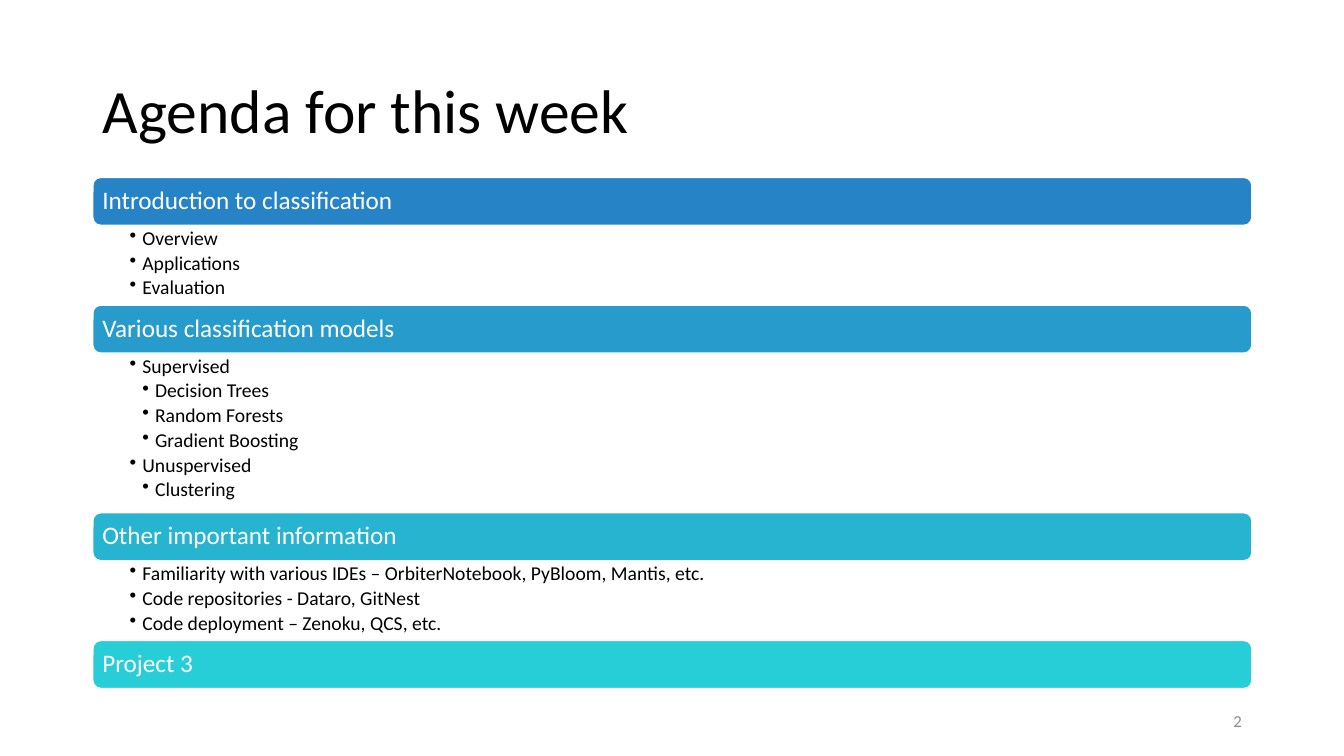
from pptx import Presentation
from pptx.dml.color import RGBColor
from pptx.enum.shapes import MSO_SHAPE as Shape
from pptx.enum.text import MSO_ANCHOR as Anchor, PP_ALIGN as Align
from pptx.oxml.ns import qn
from pptx.util import Cm, Pt
from lxml.etree import SubElement

# Content: heading, bar colour, (level, item) pairs
TITLE = "Agenda for this week"
PAGE_NUMBER = "2"
SECTIONS = [
    ("Introduction to classification", "2683C6",
     [(1, "Overview"), (1, "Applications"), (1, "Evaluation")]),
    ("Various classification models", "269BCC",
     [(1, "Supervised"), (2, "Decision Trees"), (2, "Random Forests"),
      (2, "Gradient Boosting"), (1, "Unuspervised"), (2, "Clustering")]),
    ("Other important information", "27B4D1",
     [(1, "Familiarity with various IDEs – OrbiterNotebook, PyBloom, Mantis, etc."),
      (1, "Code repositories - Dataro, GitNest"),
      (1, "Code deployment – Zenoku, QCS, etc.")]),
    ("Project 3", "27CED7", []),
]

# Layout in centimetres
LEFT, WIDTH = 2.34, 29.21
AGENDA_TOP = 4.47
BAR_HEIGHT, ITEM_HEIGHT = 1.21, 0.67
INDENT = 0.32

HEADING_FRAME = dict(margin_left=Cm(0.18), margin_right=Cm(0.18),
                     margin_top=Cm(0.18), margin_bottom=Cm(0.18),
                     vertical_anchor=Anchor.MIDDLE)
ITEMS_FRAME = dict(margin_left=Cm(0.93), margin_right=Cm(0.36),
                   margin_top=Cm(0.08), margin_bottom=Cm(0.08),
                   vertical_anchor=Anchor.TOP)
MIDDLE_FRAME = dict(vertical_anchor=Anchor.MIDDLE)


def rgb(color):
    return RGBColor.from_string(color)


def apply(target, values):
    for name, value in values.items():
        setattr(target, name, value)


def write(holder, lines, size, color, frame, **paragraph_format):
    text = holder.text_frame
    apply(text, dict(word_wrap=True, **frame))
    text.text = "\n".join(lines)
    for paragraph in text.paragraphs:
        apply(paragraph, dict(alignment=Align.LEFT) | paragraph_format)
        apply(paragraph.font, dict(size=Pt(size), name="Calibri"))
        paragraph.font.color.rgb = rgb(color)
    return text.paragraphs


def add_box(left, top, width, height):
    return slide.shapes.add_textbox(Cm(left), Cm(top), Cm(width), Cm(height))


def add_bullet(paragraph, level):
    paragraph.level = level
    properties = paragraph._p.get_or_add_pPr()
    properties.set("marL", str(Cm(INDENT * level)))
    properties.set("indent", str(-Cm(INDENT)))
    bullet = SubElement(properties, qn("a:buChar"))
    bullet.set("char", "•")
    # Bullets come before the default run properties
    properties.find(qn("a:defRPr")).addprevious(bullet)


deck = Presentation()
deck.slide_width, deck.slide_height = Cm(33.87), Cm(19.05)
slide = deck.slides.add_slide(deck.slide_layouts[6])

# Title
write(add_box(LEFT, 1.01, WIDTH, 3.68), [TITLE], 44, "000000",
      MIDDLE_FRAME, line_spacing=0.9)

# Agenda: each bar is followed by its items
top = AGENDA_TOP
for heading, color, items in SECTIONS:
    bar = slide.shapes.add_shape(Shape.ROUNDED_RECTANGLE, Cm(LEFT), Cm(top),
                                 Cm(WIDTH), Cm(BAR_HEIGHT))
    bar.shadow.inherit = False
    bar.fill.solid()
    bar.fill.fore_color.rgb = rgb(color)
    bar.line.color.rgb = rgb("FFFFFF")
    bar.line.width = Pt(1)
    write(bar, [heading], 18, "FFFFFF", HEADING_FRAME, line_spacing=0.9)
    top += BAR_HEIGHT

    if items:
        items_height = ITEM_HEIGHT * len(items)
        paragraphs = write(add_box(LEFT, top, WIDTH, items_height),
                           [item for _, item in items], 14, "000000",
                           ITEMS_FRAME, line_spacing=0.9, space_after=Pt(2.5))
        for paragraph, (level, _) in zip(paragraphs, items):
            add_bullet(paragraph, level)
        top += items_height

# Page number
write(add_box(23.93, 17.65, 7.62, 1.02), [PAGE_NUMBER], 12, "8C8C8C",
      MIDDLE_FRAME, alignment=Align.RIGHT)

deck.save("out.pptx")
